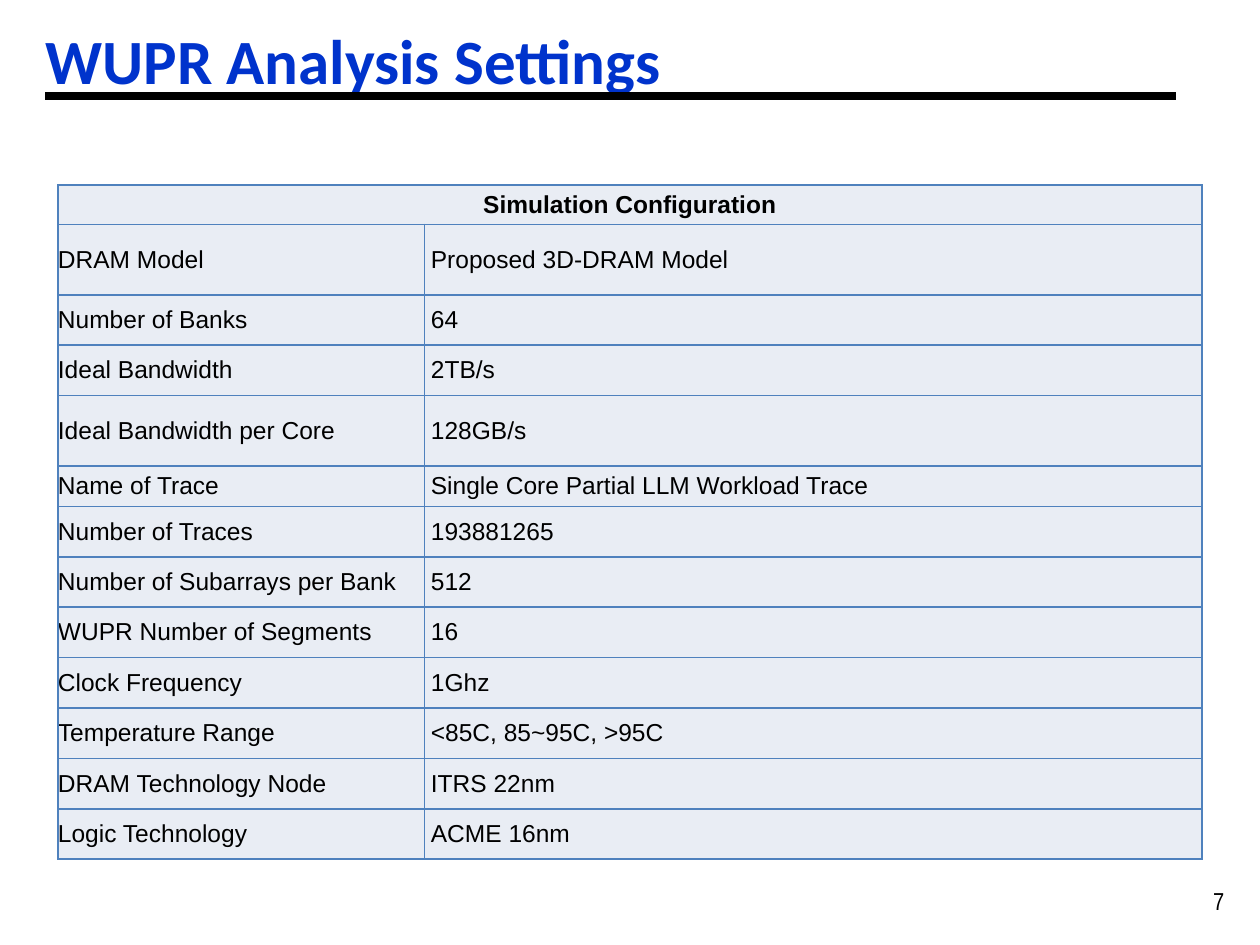
from lxml import etree
from pptx import Presentation
from pptx import util as u
from pptx.dml import color
from pptx.enum import shapes, text
from pptx.oxml import ns

INK, BLUE, EDGE, PALE = "000000", "0033CC", "4F81BD", "E9EDF4"
HEAD = "Simulation Configuration"
ROWS = [
    ("DRAM Model", "Proposed 3D-DRAM Model", 0.56),
    ("Number of Banks", "64", 0.4),
    ("Ideal Bandwidth", "2TB/s", 0.4),
    ("Ideal Bandwidth per Core", "128GB/s", 0.56),
    ("Name of Trace", "Single Core Partial LLM Workload Trace", 0.32),
    ("Number of Traces", "193881265", 0.4),
    ("Number of Subarrays per Bank", "512", 0.4),
    ("WUPR Number of Segments", "16", 0.4),
    ("Clock Frequency", "1Ghz", 0.4),
    ("Temperature Range", "<85C, 85~95C, >95C", 0.4),
    ("DRAM Technology Node", "ITRS 22nm", 0.4),
    ("Logic Technology", "ACME 16nm", 0.4),
]


def paint(hue):
    return color.RGBColor.from_string(hue)


def pad(item, left, top, right, base):
    item.margin_left, item.margin_top = u.Inches(left), u.Inches(top)
    item.margin_right, item.margin_bottom = u.Inches(right), u.Inches(base)


def write(frame, words, size, face, hue=INK, bold=False, align=text.PP_ALIGN.LEFT):
    para = frame.paragraphs[0]
    para.alignment = align
    run = para.add_run()
    run.text = words
    font = run.font
    font.size, font.name, font.bold = u.Pt(size), face, bold
    font.color.rgb = paint(hue)


def add_title(slide, box, words):
    title = slide.shapes.title
    title.left, title.top, title.width, title.height = map(u.Inches, box)
    frame = title.text_frame
    frame.auto_size = text.MSO_AUTO_SIZE.NONE
    frame.vertical_anchor = text.MSO_ANCHOR.BOTTOM
    pad(frame, 0, 0.05, 0.1, 0.05)
    write(frame, words, 36, "Calibri", BLUE, True)


def add_rule(slide, left, top, width):
    rule = slide.shapes.add_connector(
        shapes.MSO_CONNECTOR.STRAIGHT,
        *map(u.Inches, (left, top, left + width, top)))
    rule.line.color.rgb = paint(INK)
    rule.line.width = u.Pt(4.5)
    etree.SubElement(rule._element.spPr, ns.qn("a:effectLst"))


def edge(cell):
    props = cell._tc.get_or_add_tcPr()
    for side in ("lnL", "lnR", "lnT", "lnB"):
        line = etree.SubElement(props, ns.qn("a:" + side), w=str(u.Pt(1)))
        fill = etree.SubElement(line, ns.qn("a:solidFill"))
        etree.SubElement(fill, ns.qn("a:srgbClr"), val=EDGE)


def add_grid(slide, box, split):
    left, top, width, height = box
    grid = slide.shapes.add_table(
        len(ROWS) + 1, 2, *map(u.Inches, box)).table
    for col, size in zip(grid.columns, (split, width - split)):
        col.width = u.Inches(size)

    # Cell style
    for cell in grid.iter_cells():
        edge(cell)
        cell.fill.solid()
        cell.fill.fore_color.rgb = paint(PALE)
        cell.vertical_anchor = text.MSO_ANCHOR.MIDDLE
        pad(cell, 0, 0, 0, 0)

    # Heading across both columns
    grid.rows[0].height = u.Inches(0.31)
    grid.cell(0, 0).merge(grid.cell(0, 1))
    write(grid.cell(0, 0).text_frame, HEAD, 14, "Arial",
          bold=True, align=text.PP_ALIGN.CENTER)

    # Settings
    for row, (name, value, tall) in enumerate(ROWS, 1):
        grid.rows[row].height = u.Inches(tall)
        write(grid.cell(row, 0).text_frame, name, 14, "Arial")
        cell = grid.cell(row, 1)
        cell.margin_left = u.Inches(0.05)
        write(cell.text_frame, value, 14, "Arial")


def add_page(slide, box, number):
    frame = slide.shapes.add_textbox(*map(u.Inches, box)).text_frame
    frame.word_wrap = True
    write(frame, number, 14, "Arial Narrow")


def main():
    deck = Presentation()
    deck.slide_width, deck.slide_height = u.Inches(10), u.Inches(7.5)
    slide = deck.slides.add_slide(deck.slide_layouts[5])
    add_rule(slide, 0.36, 0.76, 8.97)
    add_title(slide, (0.36, 0.11, 9.64, 0.71), "WUPR Analysis Settings")
    add_grid(slide, (0.46, 1.47, 9.08, 5.32), 2.91)
    add_page(slide, (9.53, 6.98, 0.47, 0.33), "7")
    deck.save("out.pptx")


if __name__ == "__main__":
    main()
